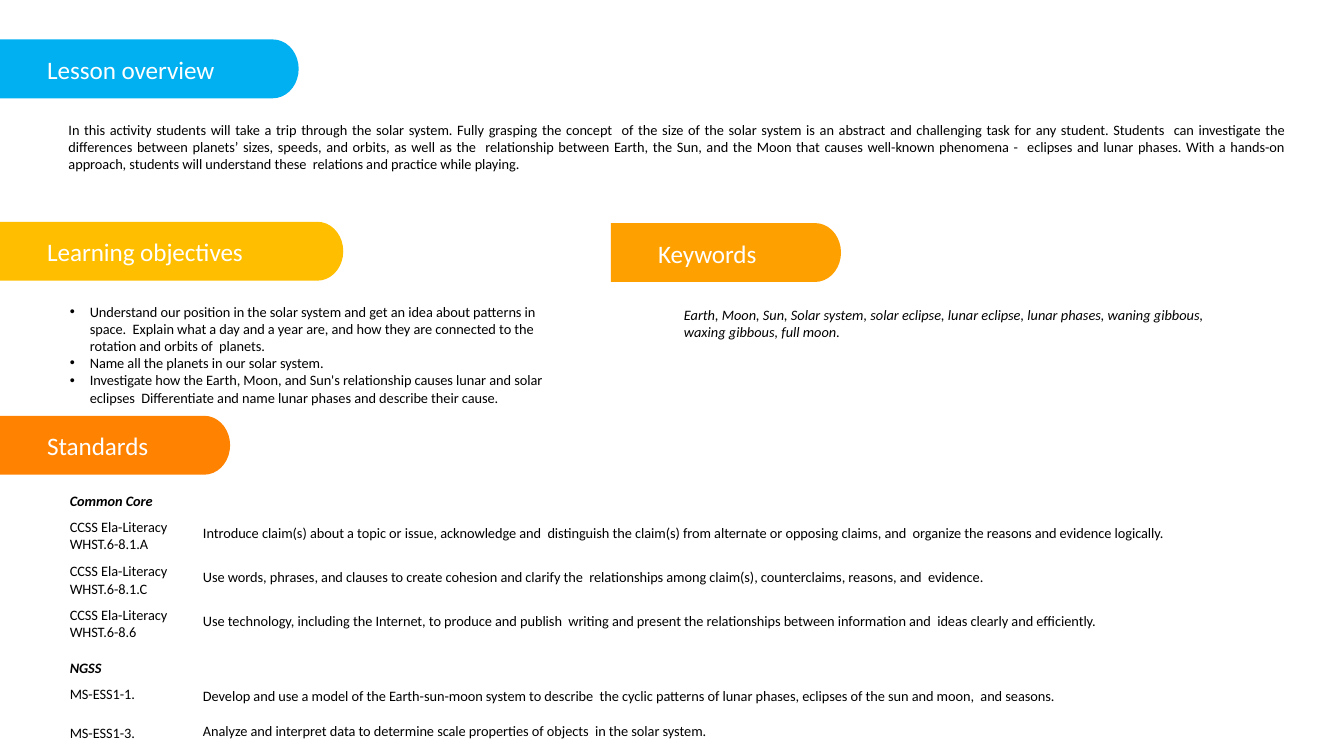
import math

from lxml import etree
from pptx import Presentation
from pptx import util as u
from pptx.dml.color import RGBColor
from pptx.enum import text
from pptx.oxml import ns

COLOURS = {
    "overview": "00B0F0",
    "objectives": "FFBF00",
    "keywords": "FFA001",
    "standards": "FF8201",
    "heading": "FFFFFF",
    "body": "000000",
}

OVERVIEW = (
    "In this activity students will take a trip through the solar system. Fully grasping the "
    "concept  of the size of the solar system is an abstract and challenging task for any student. "
    "Students  can investigate the differences between planets’ sizes, speeds, and orbits, as well "
    "as the  relationship between Earth, the Sun, and the Moon that causes well-known phenomena -  "
    "eclipses and lunar phases. With a hands-on approach, students will understand these  "
    "relations and practice while playing."
)
OBJECTIVES = [
    "Understand our position in the solar system and get an idea about patterns in space.  Explain "
    "what a day and a year are, and how they are connected to the rotation and orbits of  planets.",
    "Name all the planets in our solar system.",
    "Investigate how the Earth, Moon, and Sun's relationship causes lunar and solar eclipses  "
    "Differentiate and name lunar phases and describe their cause.",
]
KEYWORDS = (
    "Earth, Moon, Sun, Solar system, solar eclipse, lunar eclipse, lunar phases, waning gibbous,  "
    "waxing gibbous, full moon."
)
# Heading, its top, then rows of: code, code top, code height, description, description top
STANDARDS = [
    ("Common Core", 7.59, [
        ("CCSS Ela-Literacy  WHST.6-8.1.A", 7.99, 0.55,
         "Introduce claim(s) about a topic or issue, acknowledge and  distinguish the claim(s) from "
         "alternate or opposing claims, and  organize the reasons and evidence logically.", 8.08),
        ("CCSS Ela-Literacy  WHST.6-8.1.C", 8.68, 0.55,
         "Use words, phrases, and clauses to create cohesion and clarify the  relationships among "
         "claim(s), counterclaims, reasons, and  evidence.", 8.77),
        ("CCSS Ela-Literacy  WHST.6-8.6", 9.35, 0.55,
         "Use technology, including the Internet, to produce and publish  writing and present the "
         "relationships between information and  ideas clearly and efficiently.", 9.44),
    ]),
    ("NGSS", 10.18, [
        ("MS-ESS1-1.", 10.58, 0.28,
         "Develop and use a model of the Earth-sun-moon system to describe  the cyclic patterns of "
         "lunar phases, eclipses of the sun and moon,  and seasons.", 10.61),
        ("MS-ESS1-3.", 11.18, 0.28,
         "Analyze and interpret data to determine scale properties of objects  in the solar system.",
         11.14),
    ]),
]


class LessonSlide:
    FONT = "Calibri"
    TAB_HEIGHT = 0.91
    TAB_CURVE = 0.4

    def __init__(self, presentation):
        self.slide = presentation.slides.add_slide(presentation.slide_layouts[1])
        self.shapes = self.slide.shapes

    def tab(self, left, top, width, colour):
        """Draw a banner with a square left end and a rounded right end."""
        half = self.TAB_HEIGHT / 2
        centre = left + width - self.TAB_CURVE
        angles = [math.radians(degrees) for degrees in range(-90, 91, 10)]
        points = [(centre + self.TAB_CURVE * math.cos(angle), top + half + half * math.sin(angle))
                  for angle in angles]
        points.append((left, top + self.TAB_HEIGHT))
        builder = self.shapes.build_freeform(u.Inches(left), u.Inches(top))
        builder.add_line_segments([(u.Inches(x), u.Inches(y)) for x, y in points], close=True)
        shape = builder.convert_to_shape()
        shape.shadow.inherit = False
        shape.fill.solid()
        shape.fill.fore_color.rgb = RGBColor.from_string(COLOURS[colour])
        shape.line.fill.background()

    def text_block(self, box, paragraphs, shape=None, size=16, colour="body", spacing=-5,
                   bold=False, italic=False, justify=False, bullets=False):
        """Fill a placeholder, or a new text box, and bring it to the front."""
        box = [u.Inches(length) for length in box]
        if shape is None:
            shape = self.shapes.add_textbox(*box)
        else:
            shape.left, shape.top, shape.width, shape.height = box
            self.shapes._spTree.append(shape._element)
        frame = shape.text_frame
        frame.word_wrap = True
        frame.auto_size = text.MSO_AUTO_SIZE.NONE
        frame.vertical_anchor = text.MSO_ANCHOR.TOP
        frame.margin_left = frame.margin_right = frame.margin_bottom = 0
        frame.margin_top = u.Inches(0.02)
        for index, words in enumerate(paragraphs):
            paragraph = frame.add_paragraph() if index else frame.paragraphs[0]
            paragraph.alignment = text.PP_ALIGN.JUSTIFY if justify else text.PP_ALIGN.LEFT
            paragraph.space_before = u.Pt(0)
            if bullets:
                self.bullet(paragraph)
            run = paragraph.add_run()
            run.text = words
            run.font.name = self.FONT
            run.font.size = u.Pt(size)
            run.font.bold = bold
            run.font.italic = italic
            run.font.color.rgb = RGBColor.from_string(COLOURS[colour])
            run._r.get_or_add_rPr().set("spc", str(spacing))

    def bullet(self, paragraph):
        properties = paragraph._p.get_or_add_pPr()
        properties.set("marL", str(u.Inches(0.33)))
        properties.set("indent", str(u.Inches(-0.31)))
        etree.SubElement(properties, ns.qn("a:buChar")).set("char", "•")

    def section(self, title, left, top, width, colour, shape=None):
        self.tab(left, top, width, colour)
        self.text_block((left + 0.73, top + 0.21, width - 0.73, 0.49), [title], shape,
                        size=28, colour="heading")

    def standards(self, groups):
        for heading, heading_top, rows in groups:
            self.text_block((1.08, heading_top, 3.83, 0.28), [heading], bold=True, italic=True)
            for code, code_top, code_height, description, description_top in rows:
                self.text_block((1.08, code_top, 1.57, code_height), [code])
                self.text_block((3.14, description_top, 17.5, 0.28), [description], justify=True)


def main():
    presentation = Presentation()
    presentation.slide_width = u.Inches(20.79)
    presentation.slide_height = u.Inches(11.69)
    lesson = LessonSlide(presentation)
    title, body = lesson.shapes.title, lesson.slide.placeholders[1]

    lesson.section("Lesson overview", 0, 0.61, 4.62, "overview", title)
    lesson.text_block((1.06, 1.85, 18.83, 0.81), [OVERVIEW], justify=True)
    lesson.section("Learning objectives", 0, 3.43, 5.31, "objectives")
    lesson.text_block((1.06, 4.66, 7.75, 1.63), OBJECTIVES, body, bullets=True)
    lesson.section("Keywords", 9.45, 3.45, 3.56, "keywords")
    lesson.text_block((10.58, 4.71, 8.2, 0.54), [KEYWORDS], italic=True, spacing=0)
    lesson.section("Standards", 0, 6.43, 3.56, "standards")
    lesson.standards(STANDARDS)
    presentation.save("out.pptx")


if __name__ == "__main__":
    main()
